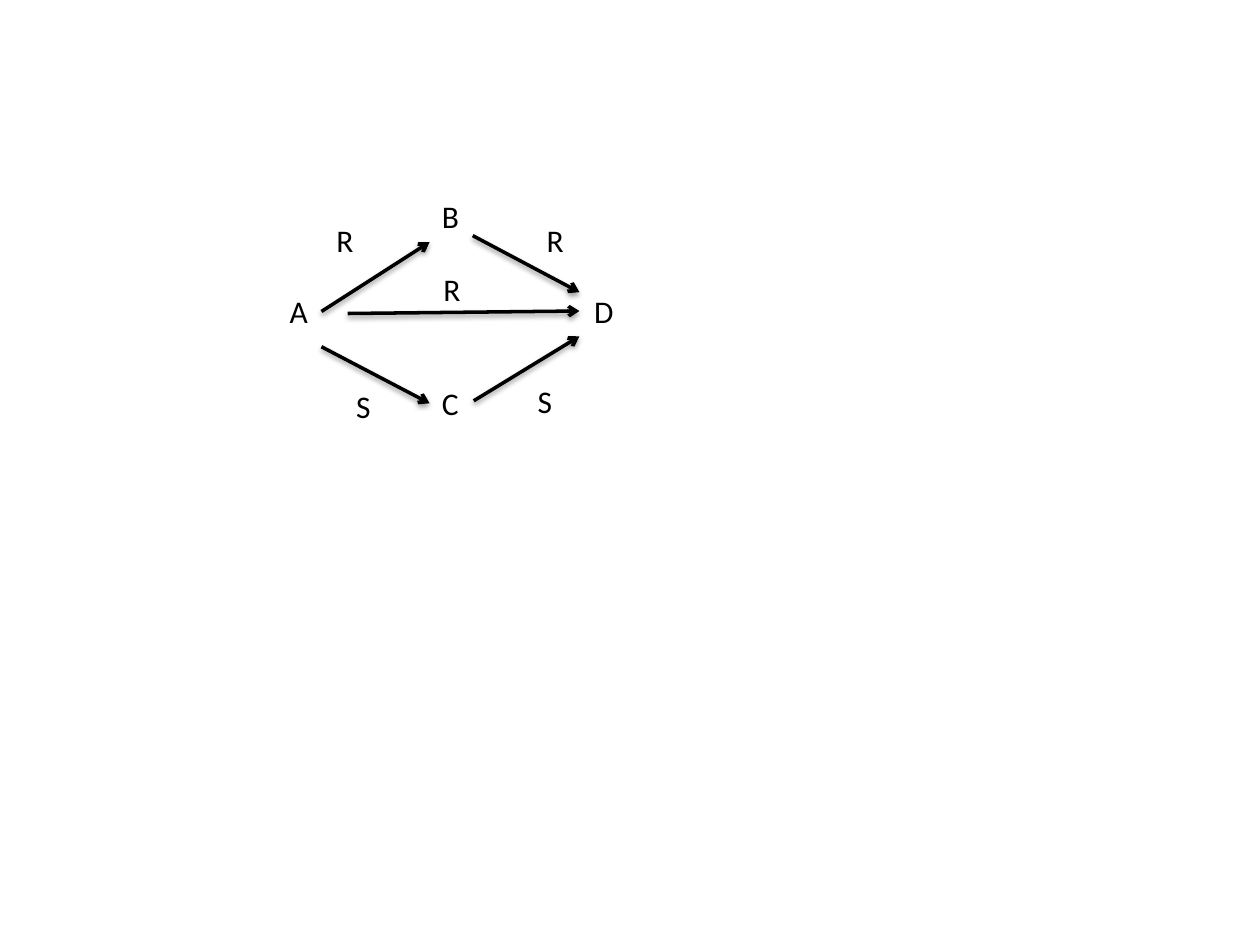
from dataclasses import dataclass
from typing import Optional

from lxml import etree
from pptx import Presentation
from pptx.dml.color import RGBColor
from pptx.enum.shapes import MSO_CONNECTOR
from pptx.enum.text import MSO_AUTO_SIZE
from pptx.oxml.ns import qn
from pptx.util import Cm, Pt

STRAIGHT = MSO_CONNECTOR.STRAIGHT
FIT_SHAPE = MSO_AUTO_SIZE.SHAPE_TO_FIT_TEXT
LEFT_SIDE, RIGHT_SIDE = 1, 3
COLORS = {"ink": "000000"}
FONT = "Calibri"
LETTER_HEIGHT = 1.02


@dataclass
class Letter:
    text: str
    left: float
    top: float
    width: float


@dataclass
class Arrow:
    start: tuple[float, float]
    end: tuple[float, float]
    start_node: Optional[str] = None  # joined at its right side
    end_node: Optional[str] = None  # joined at its left side


NODES = [
    Letter("A", 5.59, 5.77, 0.89),
    Letter("B", 8.66, 3.84, 0.86),
    Letter("C", 8.66, 7.62, 0.86),
    Letter("D", 11.73, 5.77, 0.91),
]
ARROWS = [
    Arrow((6.48, 6.28), (8.66, 4.88), start_node="A"),
    Arrow((6.48, 6.99), (8.66, 8.13), end_node="C"),
    Arrow((9.53, 4.75), (11.68, 5.89)),
    Arrow((9.55, 8.08), (11.68, 6.78)),
    Arrow((7.01, 6.32), (11.68, 6.27)),
]
RELATIONS = [
    Letter("R", 6.53, 4.34, 0.86),
    Letter("R", 10.77, 4.34, 0.86),
    Letter("R", 8.69, 5.31, 0.86),
    Letter("S", 6.93, 7.67, 0.81),
    Letter("S", 10.59, 7.57, 0.81),
]


def add_letter(slide, letter: Letter):
    box = slide.shapes.add_textbox(
        Cm(letter.left), Cm(letter.top), Cm(letter.width), Cm(LETTER_HEIGHT))
    frame = box.text_frame
    frame.word_wrap = False
    frame.auto_size = FIT_SHAPE
    paragraph = frame.paragraphs[0]
    paragraph.text = letter.text
    paragraph.font.name = FONT
    paragraph.font.size = Pt(18)
    paragraph.font.color.rgb = RGBColor.from_string(COLORS["ink"])
    return box


def add_shadow(connector) -> None:
    effects = etree.SubElement(connector._element.spPr, qn("a:effectLst"))
    shadow = etree.SubElement(
        effects, qn("a:outerShdw"), blurRad=str(Pt(3.1)), dist=str(Pt(1.6)),
        dir="5400000", rotWithShape="0")
    color = etree.SubElement(shadow, qn("a:srgbClr"), val=COLORS["ink"])
    etree.SubElement(color, qn("a:alpha"), val="38000")


def add_arrow(slide, arrow: Arrow, nodes: dict) -> None:
    connector = slide.shapes.add_connector(
        STRAIGHT, *(Cm(value) for value in arrow.start + arrow.end))
    if arrow.start_node:
        connector.begin_connect(nodes[arrow.start_node], RIGHT_SIDE)
    if arrow.end_node:
        connector.end_connect(nodes[arrow.end_node], LEFT_SIDE)
    line = connector.line
    line.width = Pt(2)
    line.color.rgb = RGBColor.from_string(COLORS["ink"])
    etree.SubElement(line._get_or_add_ln(), qn("a:tailEnd"), type="arrow")
    add_shadow(connector)


def main() -> None:
    deck = Presentation()
    deck.slide_width, deck.slide_height = Cm(25.4), Cm(19.05)
    slide = deck.slides.add_slide(deck.slide_layouts[6])

    # Objects of the diagram
    nodes = {node.text: add_letter(slide, node) for node in NODES}

    # Arrows between the objects
    for arrow in ARROWS:
        add_arrow(slide, arrow, nodes)

    # Relation names beside the arrows
    for relation in RELATIONS:
        add_letter(slide, relation)

    deck.save("out.pptx")


if __name__ == "__main__":
    main()
